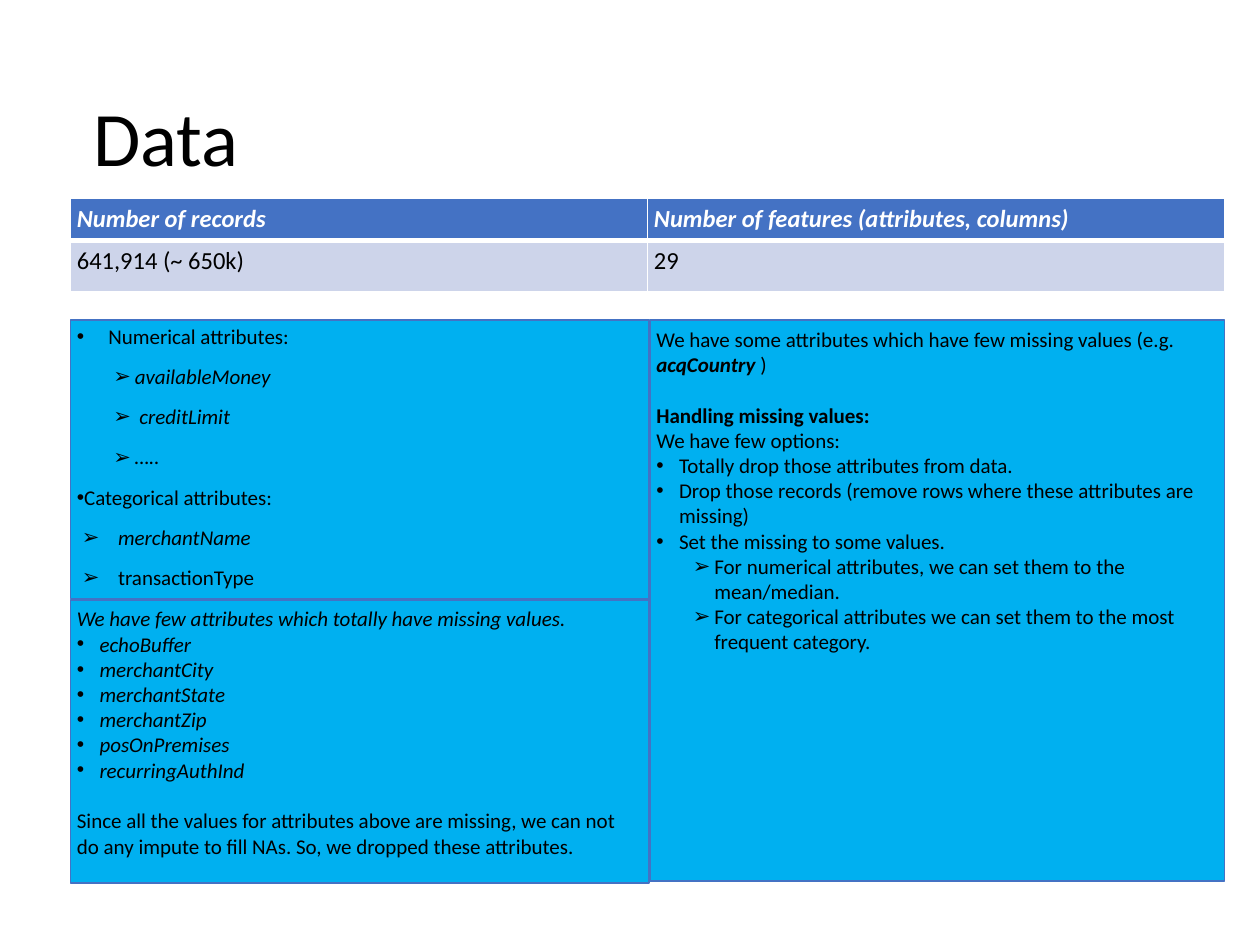
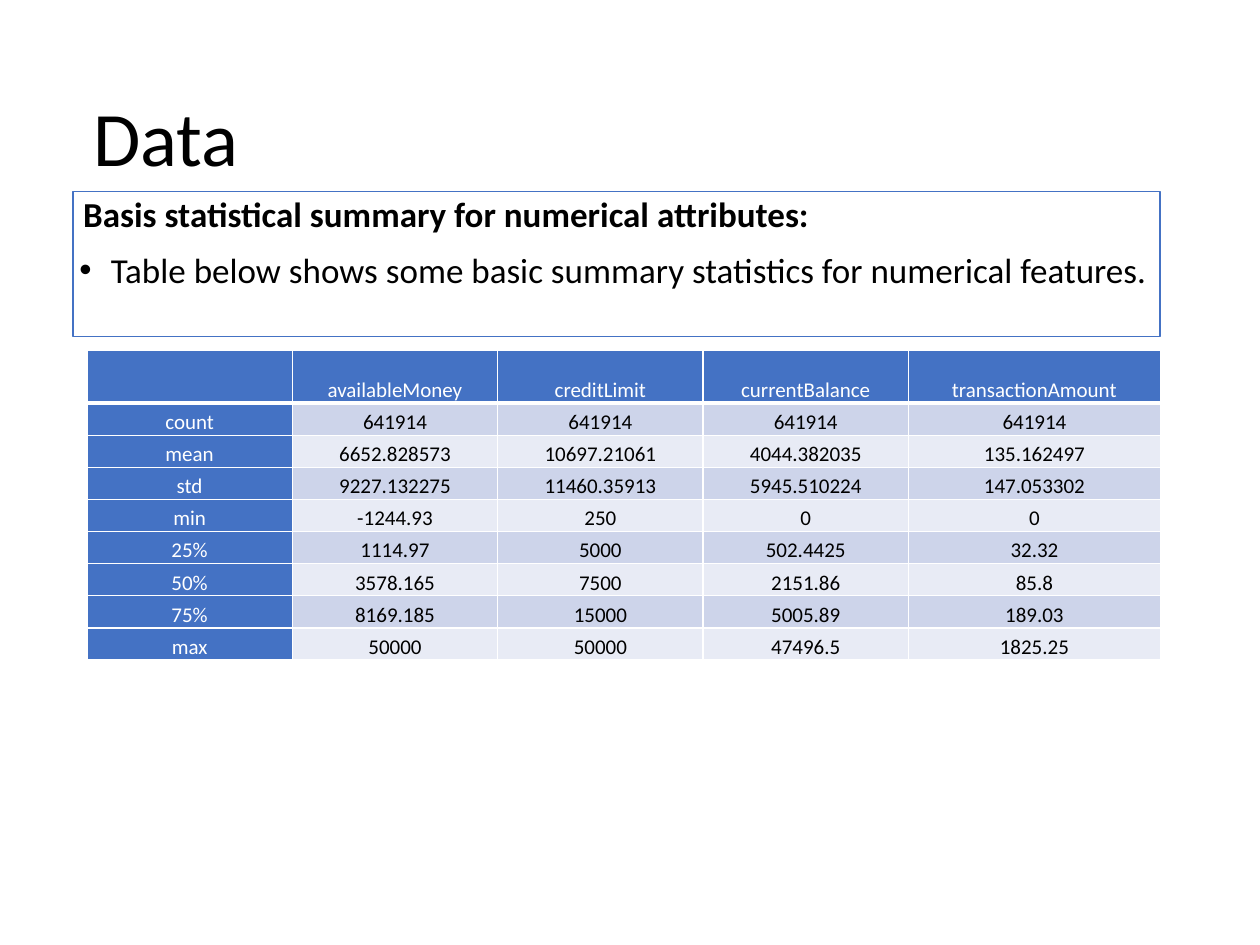
import pptx
import pptx.util
import pptx.dml.color
import pptx.enum.shapes
import pptx.enum.text
import pptx.oxml
import pptx.oxml.ns
from dataclasses import dataclass

Inches = pptx.util.Inches
Pt = pptx.util.Pt
Anchor = pptx.enum.text.MSO_ANCHOR
Align = pptx.enum.text.PP_ALIGN


@dataclass
class Theme:
    """Hold the colours and type sizes of the deck."""
    font: str = "Calibri"
    ink: str = "000000"
    white: str = "FFFFFF"
    blue: str = "4472C4"
    sky: str = "00B0F0"
    bands: tuple = ("CDD4EA", "E8EBF5")
    title: int = 44
    lead: int = 20
    head: int = 14
    text: int = 12
    tiny: int = 10
    gap: float = 14.6


LEVELS = {
    "plain": (0, 0, None),
    "dot": (0.18, -0.18, "•"),
    "wide": (0.25, -0.25, "•"),
    "flush": (0.01, -0.25, "•"),
    "arrow": (0.46, -0.17, "➢"),
    "near": (0.29, -0.25, "➢"),
}
LOOSE = {"line_spacing": 0.9, "space_before": Pt(10)}
TIGHT = {"line_spacing": 1.0, "space_before": Pt(0)}


def assign(item, values):
    """Set each named attribute of an item."""
    for name, value in values.items():
        setattr(item, name, value)


def color(code):
    """Turn a hex code into a colour."""
    return pptx.dml.color.RGBColor.from_string(code)


def element(xml):
    """Make an XML element in the drawing namespace."""
    start, rest = xml.split(" ", 1)
    return pptx.oxml.parse_xml(f"{start} {pptx.oxml.ns.nsdecls('a')} {rest}")


class Deck:
    """Hold the style and the current slide."""

    def __init__(self, theme):
        """Start an empty deck."""
        self.theme = theme
        self.file = pptx.Presentation()
        assign(self.file, {"slide_width": Inches(10), "slide_height": Inches(7.5)})

    def run(self, par, text, size, ink=None, **form):
        """Add one formatted run."""
        run = par.add_run()
        run.text = text
        base = {"name": self.theme.font, "size": Pt(size), "bold": False, "italic": False}
        assign(run.font, base | form)
        run.font.color.rgb = color(ink or self.theme.ink)

    def frame(self, frame, anchor):
        """Give a text frame its insets and anchor."""
        sides = ("left", "top", "right", "bottom")
        assign(frame, {f"margin_{side}": Inches(0.05) for side in sides})
        assign(frame, {"word_wrap": True, "vertical_anchor": anchor,
                       "auto_size": pptx.enum.text.MSO_AUTO_SIZE.NONE})

    def place(self, shape, box):
        """Move a shape to its box."""
        assign(shape, dict(zip(("left", "top", "width", "height"), map(Inches, box))))

    def slide(self, title):
        """Add a slide with its title."""
        self.page = self.file.slides.add_slide(self.file.slide_layouts[5])
        shape = self.page.shapes.title
        self.place(shape, (0.69, 0.4, 8.62, 1.45))
        self.frame(shape.text_frame, Anchor.MIDDLE)
        par = shape.text_frame.paragraphs[0]
        assign(par, {"alignment": Align.LEFT, "line_spacing": 0.9})
        self.run(par, title, self.theme.title)

    def panel(self, box, fill, lines, size, space):
        """Add an outlined box of (level, runs, gap) lines."""
        kind = pptx.enum.shapes.MSO_SHAPE.RECTANGLE
        shape = self.page.shapes.add_shape(kind, *map(Inches, box))
        shape.shadow.inherit = False
        shape.fill.solid()
        shape.fill.fore_color.rgb = color(fill)
        shape.line.color.rgb = color(self.theme.blue)
        shape.line.width = Pt(1)
        frame = shape.text_frame
        self.frame(frame, Anchor.TOP)
        for spot, (level, runs, *gap) in enumerate(lines):
            par = frame.add_paragraph() if spot else frame.paragraphs[0]
            assign(par, {"alignment": Align.LEFT} | space)
            if gap:
                par.space_before = Pt(gap[0])
            for text, form in runs:
                self.run(par, text, **({"size": size} | form))
            self.bullet(par, *LEVELS[level])

    def bullet(self, par, left, hang, mark):
        """Set the indent and bullet of a paragraph."""
        prop = par._p.get_or_add_pPr()
        prop.set("marL", str(Inches(left)))
        prop.set("indent", str(Inches(hang)))
        if mark:
            prop.append(element('<a:buFont typeface="Arial"/>'))
            prop.append(element(f'<a:buChar char="{mark}"/>'))
        else:
            prop.append(element("<a:buNone />"))

    def border(self, cell, row):
        """Draw the white rules round a cell."""
        widths = {"lnL": 1, "lnR": 1, "lnT": 1, "lnB": 1 if row else 3}
        if row == 1:
            del widths["lnT"]
        for tag, width in widths.items():
            cell._tc.get_or_add_tcPr().append(element(
                f'<a:{tag} w="{Pt(width)}"><a:solidFill><a:srgbClr '
                f'val="{self.theme.white}"/></a:solidFill></a:{tag}>'))

    def table(self, spot, cols, rows, data, form, size, head, side=False):
        """Add a banded table with a header row and optional header column."""
        box = (*spot, sum(cols), sum(rows))
        grid = self.page.shapes.add_table(len(rows), len(cols), *map(Inches, box)).table
        for col, width in zip(grid.columns, cols):
            col.width = Inches(width)
        for row, height in zip(grid.rows, rows):
            row.height = Inches(height)
        for i, line in enumerate(data):
            for j, text in enumerate(line):
                cell = grid.cell(i, j)
                top = i == 0 or (side and j == 0)
                self.border(cell, i)
                cell.fill.solid()
                cell.fill.fore_color.rgb = color(
                    self.theme.blue if top else self.theme.bands[(i - 1) % 2])
                assign(cell, form["cell"])
                par = cell.text_frame.paragraphs[0]
                par.alignment = form["align"]
                if text:
                    ink = self.theme.white if top else self.theme.ink
                    self.run(par, text, size, ink, **(head if top else {}))


def cells(inset, anchor, align):
    """Describe the text setting of table cells."""
    sides = ("left", "top", "right", "bottom")
    values = {f"margin_{side}": Inches(inset) for side in sides}
    return {"cell": values | {"vertical_anchor": anchor}, "align": align}


theme = Theme()
deck = Deck(theme)
bold, slant = {"bold": True}, {"italic": True}


def line(level, text, form={}, *gap):
    """Describe a line made of one run."""
    return (level, [(text, form)], *gap)


deck.slide("Data")
kinds = [
    line("wide", "Numerical attributes:"),
    line("arrow", "availableMoney", slant),
    line("arrow", " creditLimit", slant),
    line("arrow", "…..", slant),
    line("flush", "Categorical attributes:"),
    line("near", " merchantName", slant),
    line("near", " transactionType"),
]
deck.panel((0.56, 2.54, 4.59, 2.21), theme.sky, kinds, theme.text, LOOSE)
deck.table((0.56, 1.57), [4.58] * 2, [0.33, 0.41], [
    ("Number of records ", "Number of features (attributes, columns) "),
    ("641,914 (~ 650k)", "29"),
], cells(0.05, Anchor.TOP, Align.LEFT), theme.head, bold | slant)

names = ("echoBuffer", "merchantCity", "merchantState", "merchantZip",
         "posOnPremises", "recurringAuthInd ")
empty = [
    line("plain", "We have few attributes which totally have missing values.", slant),
    *[line("dot", name, slant) for name in names],
    line("plain", "Since all the values for attributes above are missing, we can not do "
         "any impute to fill NAs. So, we dropped these attributes.", {}, theme.gap),
]
deck.panel((0.56, 4.76, 4.59, 2.25), theme.sky, empty, theme.text, TIGHT)

fixes = [
    ("plain", [("We have some attributes which have few missing values (e.g. ", {}),
               ("acqCountry", bold | slant), (" )", {})]),
    line("plain", "Handling missing values:", bold, theme.gap),
    line("plain", "We have few options:"),
    line("dot", "Totally drop those attributes from data."),
    line("dot", "Drop those records (remove rows where these attributes are missing)"),
    line("dot", "Set the missing to some values. "),
    line("arrow", "For numerical attributes, we can set them to the mean/median."),
    line("arrow", "For categorical attributes we can set them to the most frequent category."),
]
deck.panel((5.16, 2.54, 4.56, 4.45), theme.sky, fixes, theme.text, TIGHT)

deck.slide("Data ")
intro = [
    ("plain", [(" ", bold | {"size": theme.tiny}),
               ("Basis statistical summary for numerical attributes:", bold)]),
    line("wide", "Table below shows some basic summary statistics for numerical features. "),
]
deck.panel((0.58, 1.52, 8.63, 1.15), theme.white, intro, theme.lead, LOOSE)
stats = [
    ("", "availableMoney", "creditLimit", "currentBalance", "transactionAmount"),
    ("count", *["641914"] * 4),
    ("mean", "6652.828573", "10697.21061", "4044.382035", "135.162497"),
    ("std", "9227.132275", "11460.35913", "5945.510224", "147.053302"),
    ("min", "-1244.93", "250", "0", "0"),
    ("25%", "1114.97", "5000", "502.4425", "32.32"),
    ("50%", "3578.165", "7500", "2151.86", "85.8"),
    ("75%", "8169.185", "15000", "5005.89", "189.03"),
    ("max", "50000", "50000", "47496.5", "1825.25"),
]
deck.table((0.69, 2.78), [1.63] * 4 + [2], [0.42] + [0.255] * 8, stats,
           cells(0, Anchor.BOTTOM, Align.CENTER), theme.text, {}, side=True)

deck.file.save("out.pptx")
